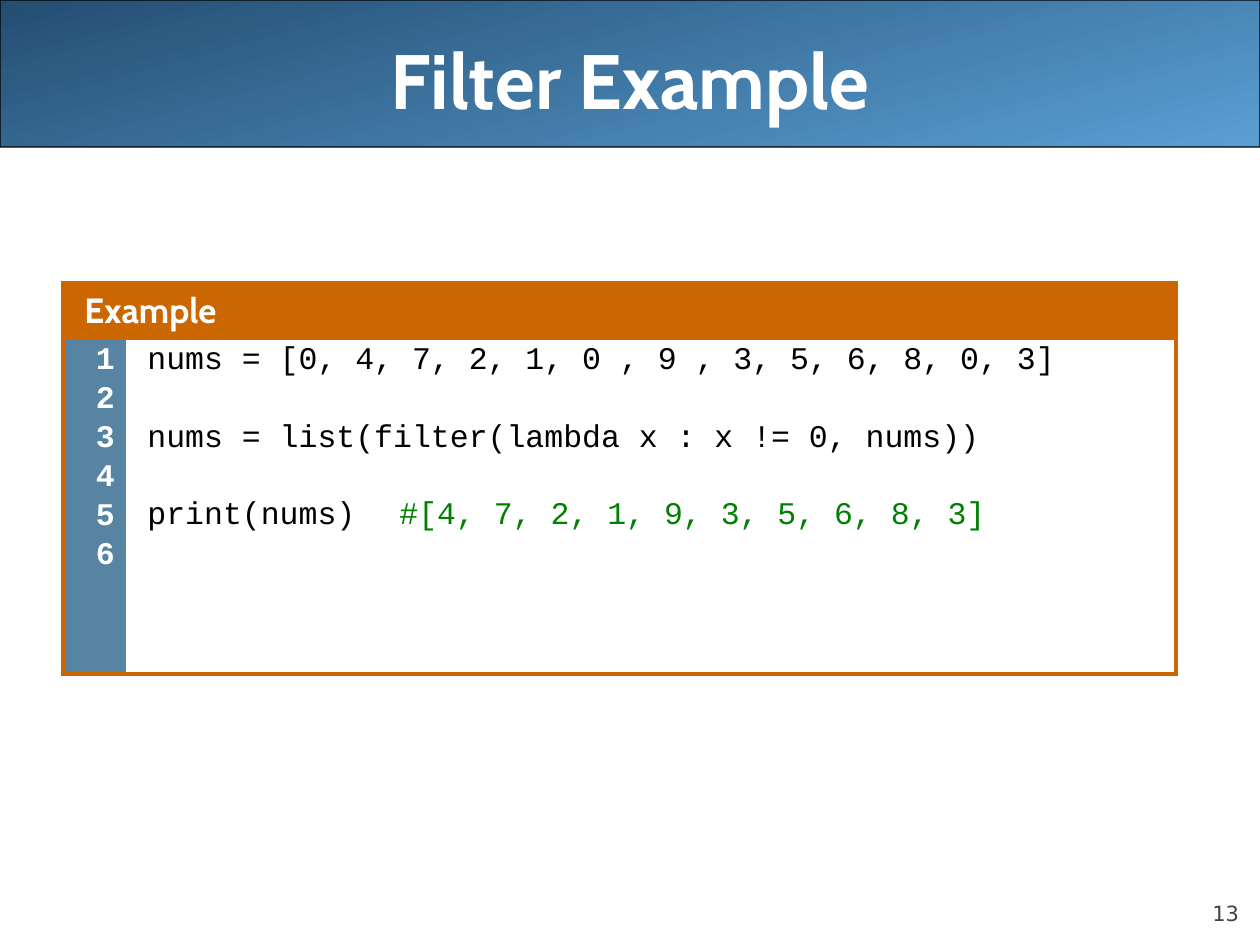
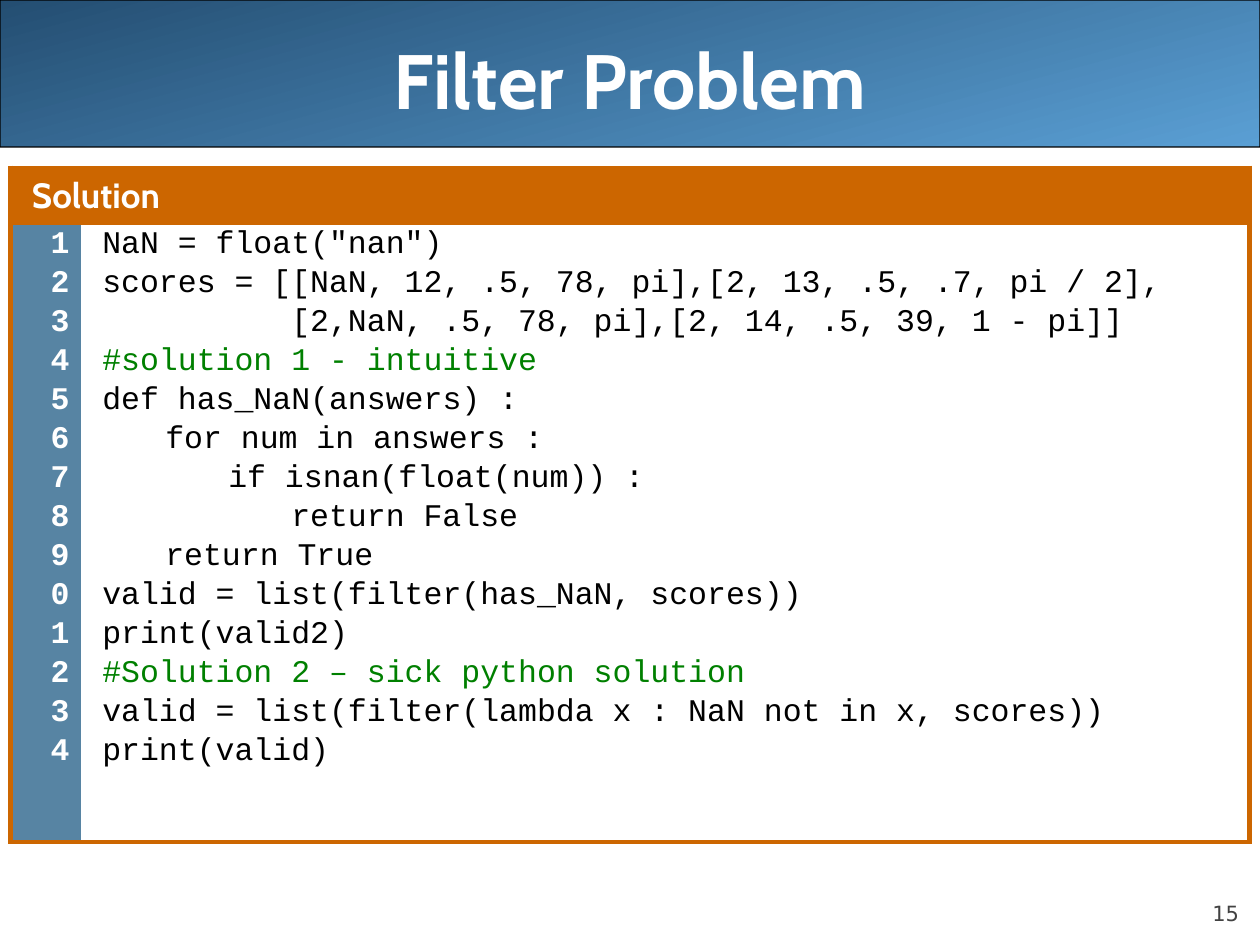
from dataclasses import dataclass

from lxml import etree
from pptx import Presentation
from pptx.dml.color import RGBColor
from pptx.enum.shapes import MSO_SHAPE
from pptx.enum.text import MSO_ANCHOR, PP_ALIGN
from pptx.oxml.ns import qn
from pptx.util import Inches, Pt

ROUNDED = MSO_SHAPE.ROUNDED_RECTANGLE
MIDDLE, BOTTOM = MSO_ANCHOR.MIDDLE, MSO_ANCHOR.BOTTOM
LEFT, CENTER, RIGHT = PP_ALIGN.LEFT, PP_ALIGN.CENTER, PP_ALIGN.RIGHT
COLUMNS, ROWS = 120, 90
INDENT_STOPS = (0.5, 1, 1.5)
COMMENT_STOPS = (2.55,)

FILTER_EXAMPLE = [
    "nums = [0, 4, 7, 2, 1, 0 , 9 , 3, 5, 6, 8, 0, 3]",
    "",
    "nums = list(filter(lambda x : x != 0, nums))",
    "",
    "print(nums)\t#[4, 7, 2, 1, 9, 3, 5, 6, 8, 3]",
]
FILTER_SOLUTION = [
    'NaN = float("nan")',
    "scores = [[NaN, 12, .5, 78, pi],[2, 13, .5, .7, pi / 2],",
    "\t\t\t[2,NaN, .5, 78, pi],[2, 14, .5, 39, 1 - pi]]",
    "#solution 1 - intuitive",
    "def has_NaN(answers) :",
    "\tfor num in answers :",
    "\t\tif isnan(float(num)) :",
    "\t\t\treturn False",
    "\treturn True",
    "valid = list(filter(has_NaN, scores))",
    "print(valid2)",
    "#Solution 2 – sick python solution",
    "valid = list(filter(lambda x : NaN not in x, scores))",
    "print(valid)",
]


@dataclass(frozen=True)
class TextStyle:
    """Font, size, colour and weight of a run."""
    font: str
    size: float
    color: str
    bold: bool = False


@dataclass(frozen=True)
class Theme:
    """Colours, type styles and spacing of the deck."""
    white: str = "FFFFFF"
    outline: str = "000000"
    band_light: str = "5A9FD4"
    band_dark: str = "244E72"
    accent: str = "CC6600"
    gutter: str = "5784A3"
    title: TextStyle = TextStyle("Cabin", 44, "FFFFFF", True)
    heading: TextStyle = TextStyle("Cabin", 20, "FFFFFF", True)
    number: TextStyle = TextStyle("Courier New", 18, "FFFFFF", True)
    code: TextStyle = TextStyle("Courier New", 18, "000000")
    comment: TextStyle = TextStyle("Courier New", 18, "008000")
    page: TextStyle = TextStyle("DejaVu Sans", 12, "424242")
    line_spacing: float = 0.87
    line_gap: float = 4.5
    line_pitch: float = 22.24
    heading_gap: float = 5
    border: float = 3


class Deck:
    """Draws lecture slides on a grid in one theme."""

    def __init__(self, theme):
        self.theme = theme
        self.prs = Presentation()
        self.prs.slide_width, self.prs.slide_height = Inches(10), Inches(7.5)
        self.slide = None

    def x(self, columns):
        return round(self.prs.slide_width * columns / COLUMNS)

    def y(self, rows):
        return round(self.prs.slide_height * rows / ROWS)

    def area(self, left, top, width, height):
        return self.x(left), self.y(top), self.x(width), self.y(height)

    def new_slide(self, title, page):
        self.slide = self.prs.slides.add_slide(self.prs.slide_layouts[6])
        self.band()
        self.label(str(page), self.theme.page, (108, 83.4, 10, 4.8), RIGHT, BOTTOM, 0, 0, 5)
        self.label(title, self.theme.title, (6, 0, 108, 15), CENTER, MIDDLE, 0.1, 0.05, 0)

    def band(self):
        band = self.slide.shapes.add_shape(ROUNDED, *self.area(0, 0, COLUMNS, 14))
        band.adjustments[0] = 0.001
        band.shadow.inherit = False
        band.fill.gradient()
        band.fill.gradient_angle = 105
        shades = (self.theme.band_light, self.theme.band_dark)
        for stop, shade in zip(band.fill.gradient_stops, shades):
            stop.color.rgb = RGBColor.from_string(shade)
        band.line.color.rgb = RGBColor.from_string(self.theme.outline)
        band.line.width = Pt(0.75)

    def run(self, paragraph, text, style):
        run = paragraph.add_run()
        run.text = text
        run.font.name, run.font.size, run.font.bold = style.font, Pt(style.size), style.bold
        run.font.color.rgb = RGBColor.from_string(style.color)

    def label(self, text, style, area, align, anchor, side, edge, gap):
        frame = self.slide.shapes.add_textbox(*self.area(*area)).text_frame
        frame.word_wrap = True
        frame.vertical_anchor = anchor
        frame.margin_left = frame.margin_right = Inches(side)
        frame.margin_top = frame.margin_bottom = Inches(edge)
        paragraph = frame.paragraphs[0]
        paragraph.alignment = align
        paragraph.space_before = Pt(gap)
        self.run(paragraph, text, style)

    def cell(self, cell, fill, sides, right_margin=0.05):
        cell.margin_left = cell.margin_top = cell.margin_bottom = Inches(0.05)
        cell.margin_right = Inches(right_margin)
        properties = cell._tc.get_or_add_tcPr()
        for side in "LRTB":
            edge = etree.SubElement(properties, qn(f"a:ln{side}"), w=str(Pt(self.theme.border)))
            if side in sides:
                paint = etree.SubElement(edge, qn("a:solidFill"))
                etree.SubElement(paint, qn("a:srgbClr"), val=self.theme.accent)
            else:
                etree.SubElement(edge, qn("a:noFill"))
        cell.fill.solid()
        cell.fill.fore_color.rgb = RGBColor.from_string(fill)

    def paragraph(self, frame, align, gap, spacing=None, stops=()):
        paragraph = frame.paragraphs[0]
        if paragraph.runs:
            paragraph = frame.add_paragraph()
        paragraph.alignment = align
        paragraph.space_before = Pt(gap)
        paragraph.line_spacing = spacing
        properties = paragraph._p.get_or_add_pPr()
        properties.set("marL", str(Inches(0.12)))
        properties.set("indent", "0")
        if stops:
            tabs = etree.SubElement(properties, qn("a:tabLst"))
            for stop in stops:
                etree.SubElement(tabs, qn("a:tab"), pos=str(Inches(stop)), algn="l")
        return paragraph

    def code_panel(self, heading, lines, last_number, area, gutter_width, stops):
        theme = self.theme
        left, top, width, body_height = area
        heading_height = 5
        panel = self.slide.shapes.add_table(
            2, 2, *self.area(left, top, width, heading_height + body_height)).table
        panel.first_row = panel.horz_banding = False
        for column, share in zip(panel.columns, (gutter_width, width - gutter_width)):
            column.width = self.x(share)
        for row, share in zip(panel.rows, (heading_height, body_height)):
            row.height = self.y(share)
        header, gutter, body = panel.cell(0, 0), panel.cell(1, 0), panel.cell(1, 1)
        header.merge(panel.cell(0, 1))
        for part in (header, panel.cell(0, 1)):
            self.cell(part, theme.accent, "LRTB")
        self.cell(gutter, theme.gutter, "LTB", 0.09)
        self.cell(body, theme.white, "RTB", 0.18)
        self.run(self.paragraph(header.text_frame, LEFT, theme.heading_gap),
                 heading, theme.heading)
        for number in range(1, last_number + 1):
            line = self.paragraph(gutter.text_frame, RIGHT, theme.line_gap, theme.line_spacing)
            self.run(line, str(number % 10), theme.number)
        gap = theme.line_gap
        for text in lines:
            if not text:
                gap += theme.line_pitch
                continue
            line = self.paragraph(body.text_frame, LEFT, gap, theme.line_spacing, stops)
            code, mark, comment = text.partition("#")
            for part, style in ((code, theme.code), (mark + comment, theme.comment)):
                if part:
                    self.run(line, part, style)
            gap = theme.line_gap


def main():
    deck = Deck(Theme())
    deck.new_slide("Filter Example", 13)
    deck.code_panel("Example", FILTER_EXAMPLE, 6, (6, 27, 106, 32), 6, COMMENT_STOPS)
    deck.new_slide("Filter Problem", 15)
    deck.code_panel("Solution", FILTER_SOLUTION, 14, (1, 16, 118, 59), 6.7, INDENT_STOPS)
    deck.prs.save("out.pptx")


if __name__ == "__main__":
    main()
